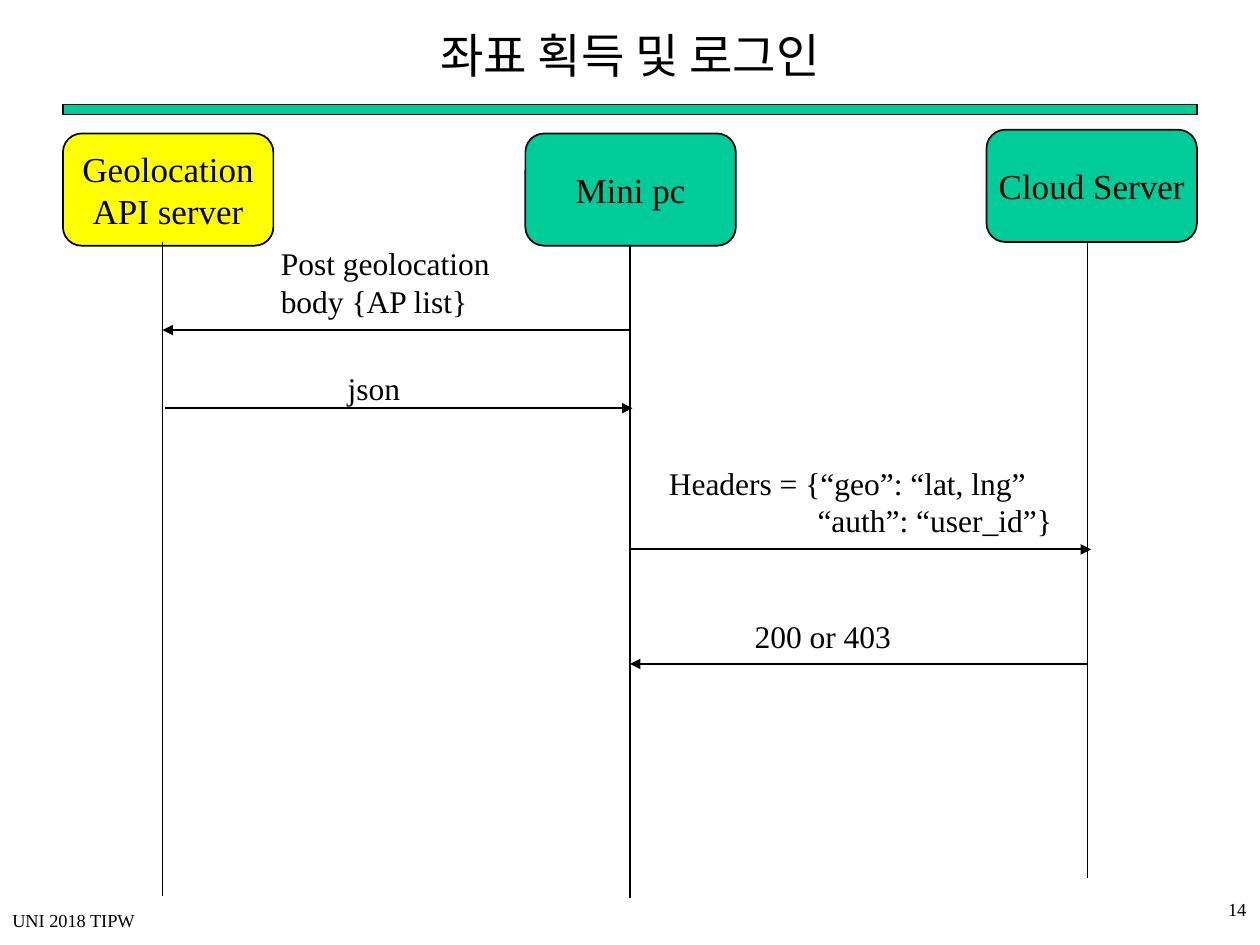
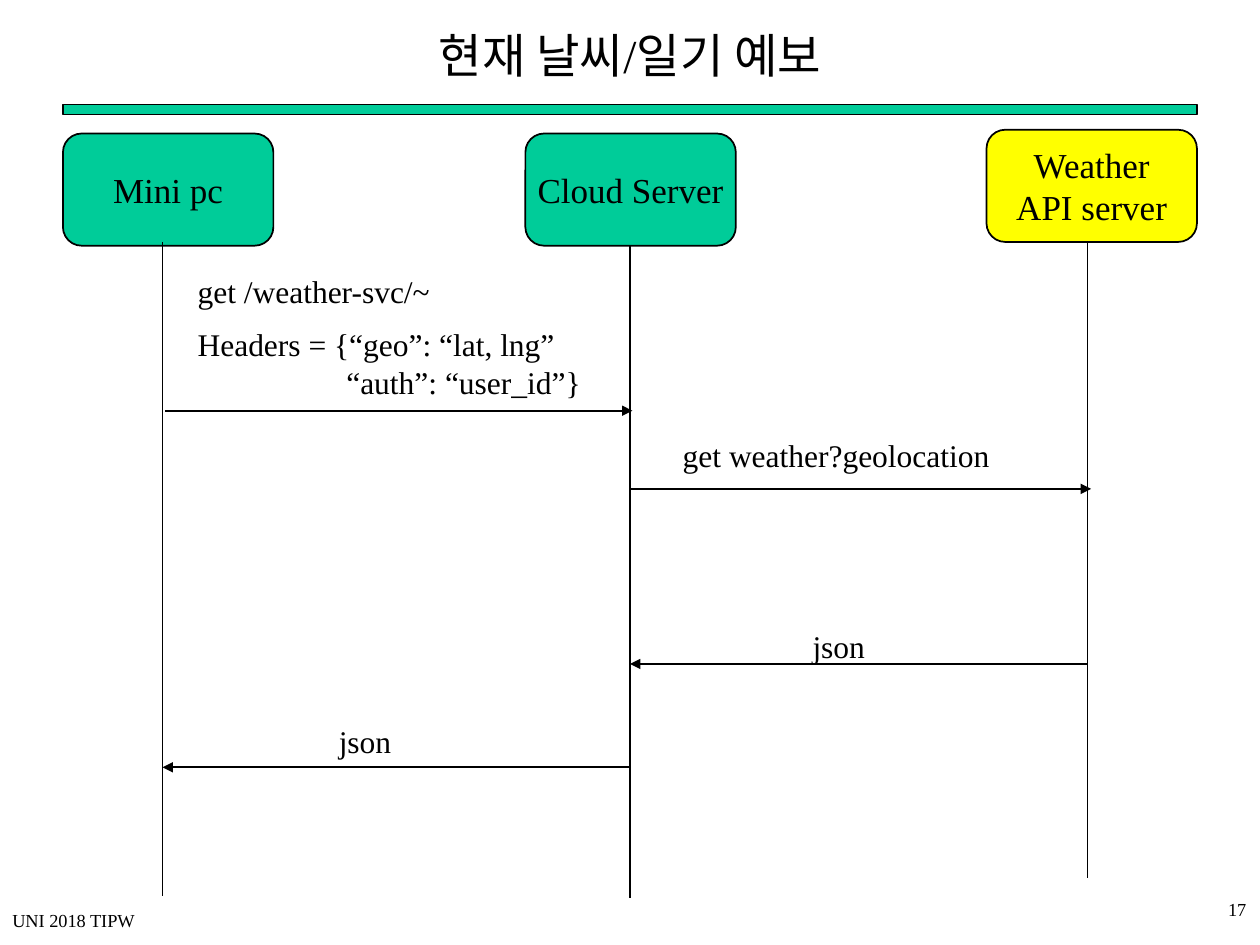
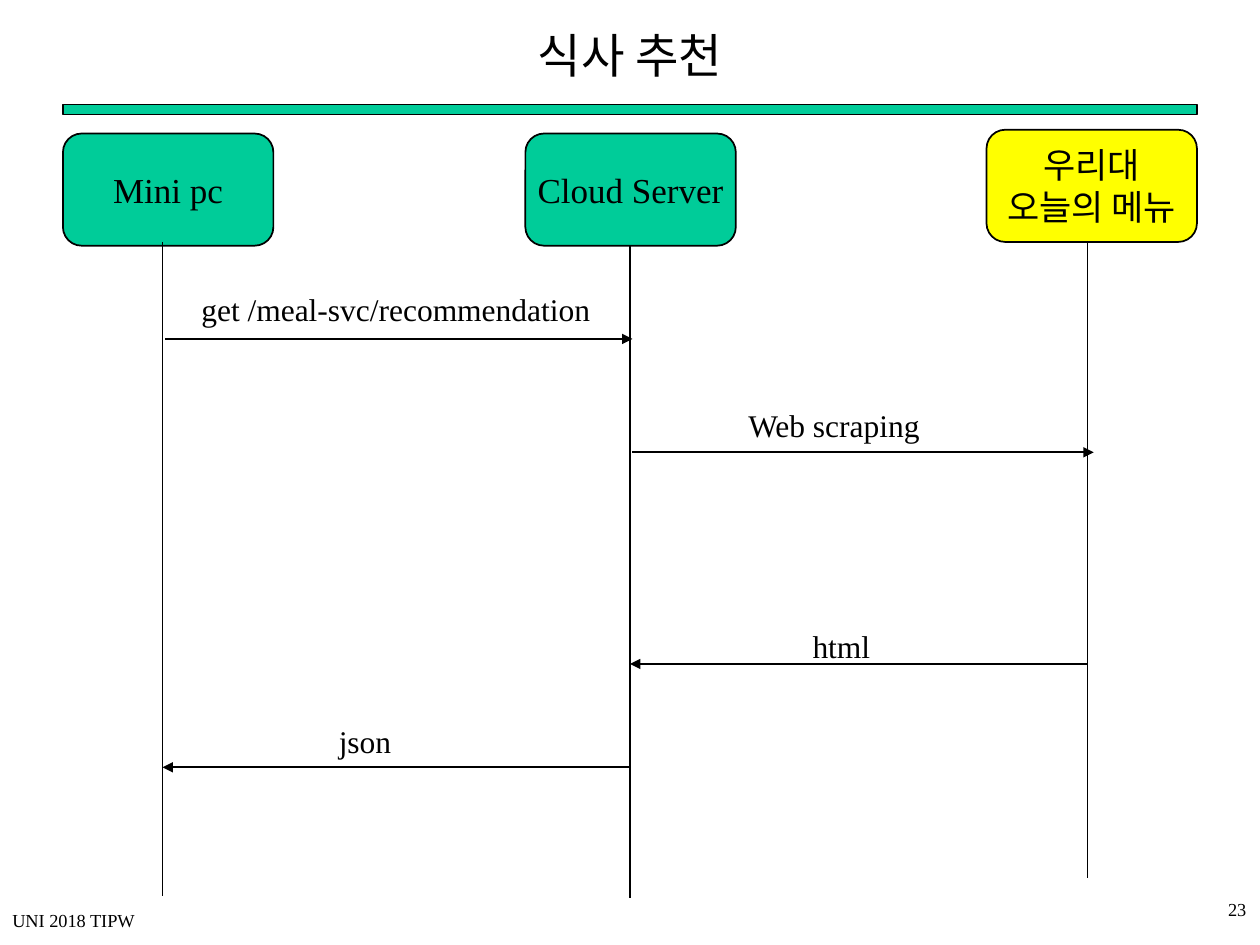
from dataclasses import dataclass

from pptx import Presentation
from pptx.dml.color import RGBColor
from pptx.enum.shapes import MSO_CONNECTOR as CONN, MSO_SHAPE as SHAPE
from pptx.enum.text import MSO_ANCHOR as ANCHOR, MSO_AUTO_SIZE as AUTO, PP_ALIGN as ALIGN
from pptx.oxml.ns import qn
from pptx.util import Pt
from lxml.etree import SubElement

PX = 9144
FONT = "Times New Roman"
COLORS = {"green": "00CC99", "yellow": "FFFF00", "black": "000000"}

TITLE = (50, 11, 900, 64)
BAND = (50, 83, 900, 8)
FOOTER = (0, 717, 317, 33)
PAGE = (791, 708, 208, 42)
DIAGRAM = (50, 100, 900, 613)

HEAD_W, HEAD_H = 167, 89
HEADS = [(0, 6), (367, 6), (733, 3)]
LANES = [79, 450, 813]
LANE_TOPS = [92, 94, 78]
LANE_H = 519
SPANS = {
    (0, 1): (LANES[0] + 2, LANES[1] + 2),
    (1, 2): (LANES[1], LANES[2] + 3),
    (2, 1): (LANES[2], LANES[1]),
    (1, 0): (LANES[1], LANES[0]),
}

LABEL_H = {1: 40, 2: 71}
CONTINUATION_INDENT = 118
HEADERS = ["Headers = {“geo”: “lat, lng”", "“auth”: “user_id”}"]


@dataclass
class Arrow:
    src: int
    dst: int
    y: int
    shift: int = 0


@dataclass
class Label:
    x: int
    y: int
    w: int
    lines: list
    rows: int = 1


@dataclass
class Sequence:
    page: int
    title: str
    heads: list
    external: int
    arrows: list
    labels: list


SEQUENCES = [
    Sequence(
        14, "좌표 획득 및 로그인",
        ["Geolocation\nAPI server", "Mini pc", "Cloud Server"], 0,
        [Arrow(1, 0, 162), Arrow(0, 1, 224), Arrow(1, 2, 336), Arrow(2, 1, 427)],
        [Label(163, 89, 208, ["Post geolocation body {AP list}"], 2),
         Label(216, 188, 208, ["json"]),
         Label(471, 263, 361, HEADERS, 2),
         Label(539, 385, 361, ["200 or 403"])],
    ),
    Sequence(
        17, "현재 날씨/일기 예보",
        ["Mini pc", "Cloud Server", "Weather\nAPI server"], 2,
        [Arrow(0, 1, 226), Arrow(1, 2, 288), Arrow(2, 1, 427), Arrow(1, 0, 509)],
        [Label(97, 111, 208, ["get /weather-svc/~"]),
         Label(97, 153, 361, HEADERS, 2),
         Label(482, 241, 291, ["get weather?geolocation"]),
         Label(585, 393, 208, ["json"]),
         Label(209, 468, 208, ["json"])],
    ),
    Sequence(
        23, "식사 추천",
        ["Mini pc", "Cloud Server", "우리대\n오늘의 메뉴"], 2,
        [Arrow(0, 1, 169), Arrow(1, 2, 259, 2), Arrow(2, 1, 427), Arrow(1, 0, 509)],
        [Label(100, 125, 337, ["get /meal-svc/recommendation"]),
         Label(534, 217, 361, ["Web scraping"]),
         Label(585, 393, 208, ["html"]),
         Label(209, 468, 208, ["json"])],
    ),
]


def emu(*lengths):
    return [n * PX for n in lengths]


def rgb(name):
    return RGBColor.from_string(COLORS[name])


def set_text(sp, text, size, align):
    tf = sp.text_frame
    tf.text = text
    for p in tf.paragraphs:
        p.alignment = align
        for r in p.runs:
            r.font.size = Pt(size)
            r.font.name = FONT
            r.font.color.rgb = rgb("black")
    return tf


def add_box(slide, kind, box, fill, width):
    sp = slide.shapes.add_shape(kind, *emu(*box))
    sp.shadow.inherit = False
    sp.fill.solid()
    sp.fill.fore_color.rgb = rgb(fill)
    sp.line.color.rgb = rgb("black")
    sp.line.width = Pt(width)
    return sp


def add_text(slide, box, text, size, align=ALIGN.LEFT):
    sp = slide.shapes.add_textbox(*emu(*box))
    tf = set_text(sp, text, size, align)
    tf.word_wrap = True
    return tf


def add_line(slide, x1, y1, x2, y2, arrow=False):
    line = slide.shapes.add_connector(CONN.STRAIGHT, *emu(x1, y1, x2, y2))
    line.line.color.rgb = rgb("black")
    line.line.width = Pt(1)
    sp_pr = line.element.spPr
    if arrow:
        SubElement(sp_pr.find(qn("a:ln")), qn("a:tailEnd"), type="triangle")
    SubElement(sp_pr, qn("a:effectLst"))


def add_frame(slide, title, page):
    sp = slide.shapes.title
    sp.left, sp.top, sp.width, sp.height = emu(*TITLE)
    tf = set_text(sp, title, 27, ALIGN.CENTER)
    tf.auto_size = AUTO.NONE
    tf.vertical_anchor = ANCHOR.MIDDLE
    add_box(slide, SHAPE.RECTANGLE, BAND, "green", 0.75)
    add_text(slide, PAGE, str(page), 10.5, ALIGN.RIGHT)
    add_text(slide, FOOTER, "UNI 2018 TIPW", 10.5)


def add_lifeline(slide, box, lane):
    x, y = box[0] + LANES[lane], box[1] + LANE_TOPS[lane]
    add_line(slide, x, y, x, y + LANE_H)


def add_heads(slide, box, texts, external):
    for i, ((x, y), text) in enumerate(zip(HEADS, texts)):
        fill = "yellow" if i == external else "green"
        sp = add_box(slide, SHAPE.ROUNDED_RECTANGLE,
                     (box[0] + x, box[1] + y, HEAD_W, HEAD_H), fill, 1)
        tf = set_text(sp, text, 20, ALIGN.CENTER)
        tf.word_wrap = False
        tf.vertical_anchor = ANCHOR.MIDDLE


def add_label(slide, box, label):
    place = (box[0] + label.x, box[1] + label.y, label.w, LABEL_H[label.rows])
    tf = add_text(slide, place, "\n".join(label.lines), 18)
    tf.auto_size = AUTO.SHAPE_TO_FIT_TEXT
    for p in tf.paragraphs[1:]:
        p._p.get_or_add_pPr().set("marL", str(CONTINUATION_INDENT * PX))


def add_sequence(slide, box, seq):
    for lane in (2, 1):
        add_lifeline(slide, box, lane)
    add_heads(slide, box, seq.heads, seq.external)
    add_lifeline(slide, box, 0)
    for arrow in seq.arrows:
        start, end = (box[0] + x + arrow.shift for x in SPANS[arrow.src, arrow.dst])
        y = box[1] + arrow.y
        add_line(slide, start, y, end, y, arrow=True)
    for label in seq.labels:
        add_label(slide, box, label)


def main():
    prs = Presentation()
    prs.slide_width, prs.slide_height = emu(1000, 750)
    for seq in SEQUENCES:
        slide = prs.slides.add_slide(prs.slide_layouts[5])
        add_frame(slide, seq.title, seq.page)
        add_sequence(slide, DIAGRAM, seq)
    prs.save("out.pptx")


if __name__ == "__main__":
    main()
